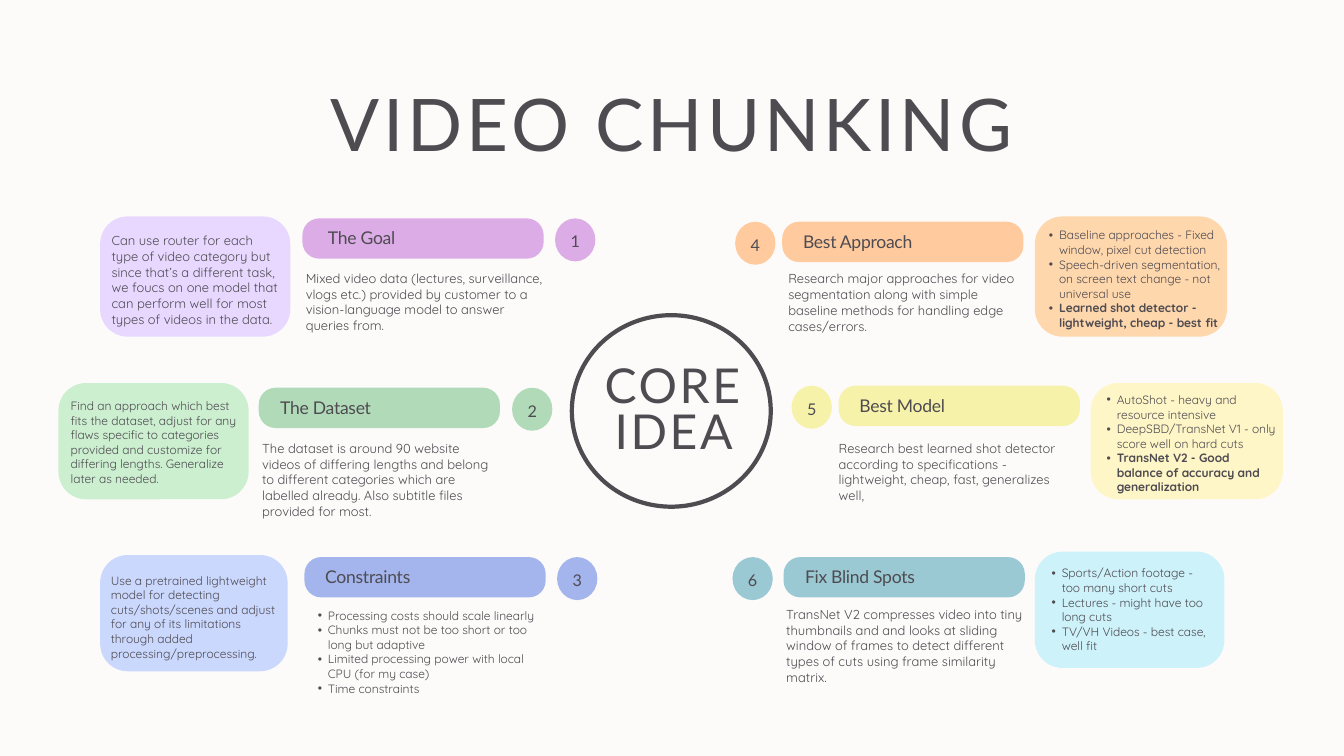
from dataclasses import dataclass
from typing import NamedTuple

from lxml import etree
from pptx import Presentation
from pptx import util as u
from pptx.dml.color import RGBColor
from pptx.enum import shapes, text
from pptx.oxml.ns import qn

WIDTH, HEIGHT = u.Inches(20), u.Inches(11.25)
COL, ROW = WIDTH / 200, HEIGHT / 112.5


@dataclass(frozen=True)
class Style:
    size: float
    leading: float
    font: str
    tracking: float = 0


@dataclass(frozen=True)
class Theme:
    paper: str = "FCFBF9"
    ink: str = "4E4B51"
    title: Style = Style(77.7, 73.8, "Lato", 4.3)
    core: Style = Style(51.5, 48.9, "Lato", 2.8)
    heading: Style = Style(18.8, 17.8, "Lato", -0.3)
    badge: Style = Style(17.3, 24.2, "Lato")
    body: Style = Style(13.9, 16.9, "Quicksand")
    small: Style = Style(12.9, 15.6, "Quicksand")


THEME = Theme()


class Box(NamedTuple):
    col: float
    row: float
    cols: float
    rows: float

    def emu(self) -> tuple:
        return (u.Emu(round(self.col * COL)), u.Emu(round(self.row * ROW)),
                u.Emu(round(self.cols * COL)), u.Emu(round(self.rows * ROW)))


class Para(NamedTuple):
    text: str
    bullet: bool = False
    bold: bool = False


class Block(NamedTuple):
    box: Box
    style: Style
    paras: list


class Topic(NamedTuple):
    number: int
    heading: str
    color: str
    bar: tuple
    badge_col: float
    heading_col: float
    body: Block
    note_color: str
    note_box: Box
    note: Block


def bullets(*items: str, best: str = "") -> list:
    paras = [Para(item, True) for item in items]
    return paras + ([Para(best, True, True)] if best else [])


def write(tf, paras: list, style: Style, align=text.PP_ALIGN.LEFT) -> None:
    tf.word_wrap = True
    tf.margin_left = tf.margin_right = tf.margin_top = tf.margin_bottom = 0
    for i, para in enumerate(paras):
        p = tf.paragraphs[0] if i == 0 else tf.add_paragraph()
        p.alignment = align
        p.line_spacing = u.Pt(style.leading)
        if para.bullet:
            pPr = p._p.get_or_add_pPr()
            pPr.set("marL", str(u.Inches(0.31)))
            pPr.set("indent", str(u.Inches(-0.15)))
            etree.SubElement(pPr, qn("a:buFont")).set("typeface", "Arial")
            etree.SubElement(pPr, qn("a:buChar")).set("char", "•")
        r = p.add_run()
        r.text = para.text
        r.font.size = u.Pt(style.size)
        r.font.name = style.font
        r.font.bold = para.bold
        r.font.color.rgb = RGBColor.from_string(THEME.ink)
        if style.tracking:
            r._r.get_or_add_rPr().set("spc", str(round(style.tracking * 100)))


def add_text(s, block: Block, align=text.PP_ALIGN.LEFT) -> None:
    write(s.shapes.add_textbox(*block.box.emu()).text_frame, block.paras, block.style, align)


def add_fill(s, kind, box: Box, color: str):
    sp = s.shapes.add_shape(kind, *box.emu())
    sp.shadow.inherit = False
    sp.fill.solid()
    sp.fill.fore_color.rgb = RGBColor.from_string(color)
    sp.line.fill.background()
    return sp


def add_panel(s, box: Box, color: str, radius: float) -> None:
    sp = add_fill(s, shapes.MSO_SHAPE.ROUNDED_RECTANGLE, box, color)
    sp.adjustments[0] = radius / box.rows


def add_topic(s, topic: Topic) -> None:
    col, row = topic.bar
    add_panel(s, Box(col, row, 35.9, 6), topic.color, 2.5)
    badge = add_fill(s, shapes.MSO_SHAPE.OVAL, Box(topic.badge_col, row, 6, 6.4), topic.color)
    badge.text_frame.vertical_anchor = text.MSO_ANCHOR.MIDDLE
    write(badge.text_frame, [Para(str(topic.number))], THEME.badge, text.PP_ALIGN.CENTER)
    add_text(s, Block(Box(topic.heading_col, row + 2, 31, 2.5), THEME.heading, [Para(topic.heading)]))
    add_text(s, topic.body)
    add_panel(s, topic.note_box, topic.note_color, 4.1)
    add_text(s, topic.note)


def body(col: float, row: float, paras: list, style: Style = THEME.body) -> Block:
    return Block(Box(col, row, 35.5, 11), style, paras)


def note(col: float, row: float, cols: float, paras: list, style: Style = THEME.small) -> Block:
    return Block(Box(col, row, cols, 13), style, paras)


TOPICS = [
    Topic(1, "The Goal", "DCACE7", (45, 32.5), 82.6, 48.8,
          body(45.5, 40.2, [Para("Mixed video data (lectures, surveillance, vlogs etc.) provided by "
                                 "customer to a vision-language model to answer queries from.")]),
          "E8D8FF", Box(14.9, 32.2, 28.3, 17.9),
          note(16.6, 34.6, 25.1, [Para("Can use router for each type of video category but since that’s a "
                                       "different task, we foucs on one model that can perform well for "
                                       "most types of videos in the data.")], THEME.body)),
    Topic(2, "The Dataset", "B1DAB8", (38.5, 57.7), 76.2, 41.7,
          body(39, 65.5, [Para("The dataset is around 90 website videos of differing lengths and belong "
                               "to different categories which are labelled already. Also subtitle "
                               "files provided for most.")]),
          "CCEFD0", Box(8.7, 57, 28.3, 17.3),
          note(10.5, 59.3, 25.1, [Para("Find an approach which best fits the dataset, adjust for any flaws "
                                       "specific to categories provided and customize for differing "
                                       "lengths. Generalize later as needed.")])),
    Topic(3, "Constraints", "A3B5EC", (45.3, 82.9), 82.9, 48.4,
          body(45.7, 90.5, bullets("Processing costs should scale linearly",
                                   "Chunks must not be too short or too long but adaptive",
                                   "Limited processing power with local CPU (for my case)",
                                   "Time constraints"), THEME.small),
          "CBD8FE", Box(14.9, 82.6, 27.9, 17.3),
          note(16.5, 85.3, 25.1, [Para("Use a pretrained lightweight model for detecting cuts/shots/scenes "
                                       "and adjust for any of its limitations through added "
                                       "processing/preprocessing.")])),
    Topic(4, "Best Approach", "FFCA9E", (116.4, 33), 109.4, 119.5,
          body(117.3, 40.3, [Para("Research major approaches for video segmentation along with simple "
                                  "baseline methods for handling edge cases/errors.")]),
          "FFD7AC", Box(154, 32.2, 28.6, 17.9),
          note(154.5, 33.9, 27.1, bullets("Baseline approaches - Fixed window, pixel cut detection",
                                          "Speech-driven segmentation, on screen text change - not universal use",
                                          best="Learned shot detector - lightweight, cheap - best fit"))),
    Topic(5, "Best Model", "F7F2AA", (124.8, 57.4), 117.8, 127.9,
          body(124.8, 65.5, [Para("Research best learned shot detector according to specifications - "
                                  "lightweight, cheap, fast, generalizes well,")]),
          "FFF6C7", Box(162.3, 57, 28.6, 17.3),
          note(163.1, 58.4, 27, bullets("AutoShot - heavy and resource intensive",
                                        "DeepSBD/TransNet V1 - only score well on hard cuts",
                                        best="TransNet V2 - Good balance of accuracy and generalization"))),
    Topic(6, "Fix Blind Spots", "9AC9D3", (116.6, 82.9), 109, 119.8,
          body(117, 90.2, [Para("TransNet V2 compresses video into tiny thumbnails and and looks at "
                                "sliding window of frames to detect different types of cuts using "
                                "frame similarity matrix.")]),
          "CEF2FA", Box(154, 82.1, 28.2, 17.3),
          note(154.9, 84.2, 25.1, bullets("Sports/Action footage - too many short cuts",
                                          "Lectures - might have too long cuts",
                                          "TV/VH Videos - best case, well fit"))),
]


def main() -> None:
    prs = Presentation()
    prs.slide_width, prs.slide_height = WIDTH, HEIGHT
    s = prs.slides.add_slide(prs.slide_layouts[6])
    s.background.fill.solid()
    s.background.fill.fore_color.rgb = RGBColor.from_string(THEME.paper)

    center = text.PP_ALIGN.CENTER
    add_text(s, Block(Box(11.2, 14.5, 177.5, 10.8), THEME.title, [Para("VIDEO CHUNKING")]), center)
    ring = s.shapes.add_shape(shapes.MSO_SHAPE.OVAL, *Box(85.1, 46.9, 29.6, 28.5).emu())
    ring.shadow.inherit = False
    ring.fill.background()
    ring.line.color.rgb = RGBColor.from_string(THEME.ink)
    ring.line.width = u.Pt(4.5)
    add_text(s, Block(Box(83.6, 54.7, 33.3, 13.8), THEME.core, [Para("CORE IDEA")]), center)
    for topic in TOPICS:
        add_topic(s, topic)
    prs.save("out.pptx")


if __name__ == "__main__":
    main()
